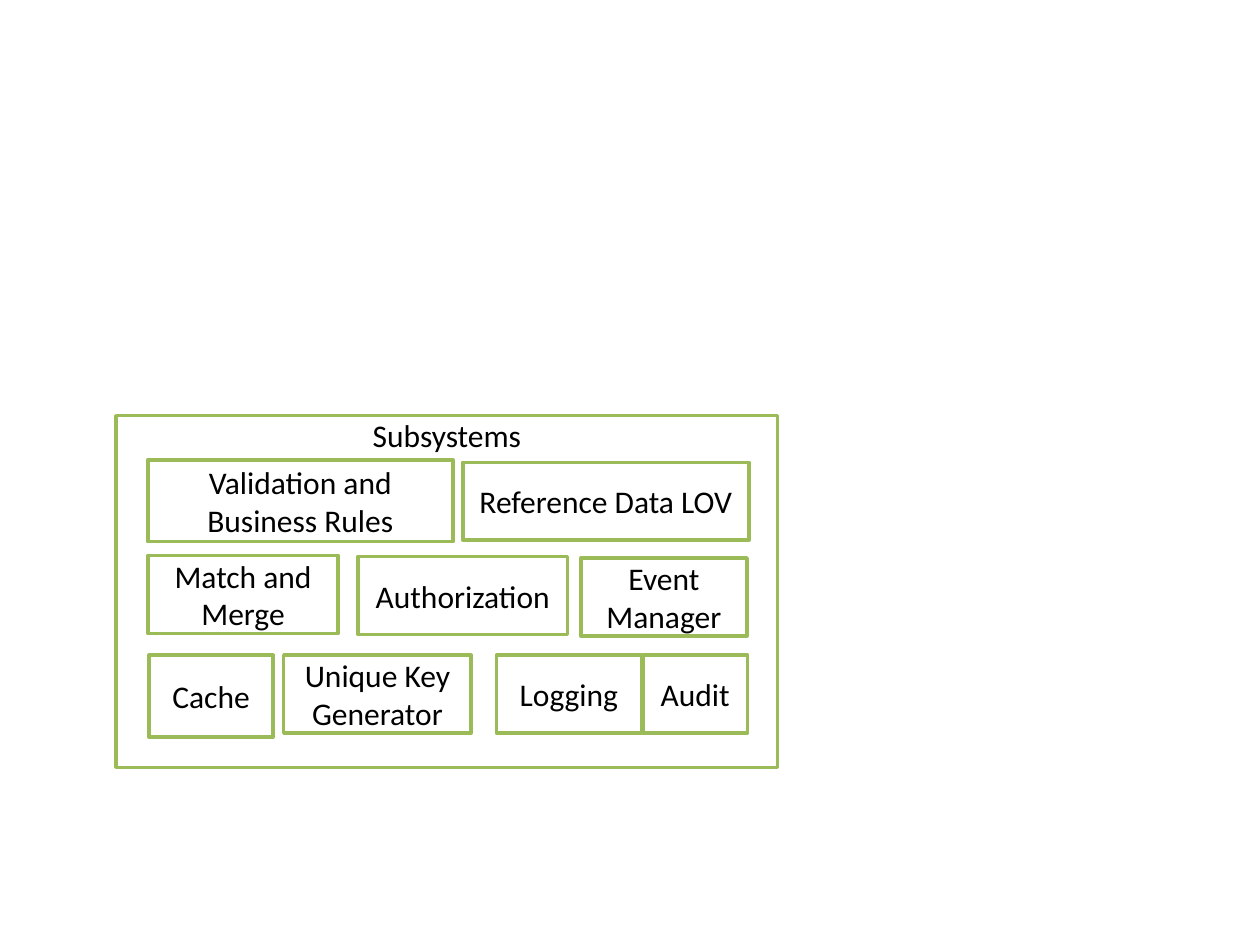
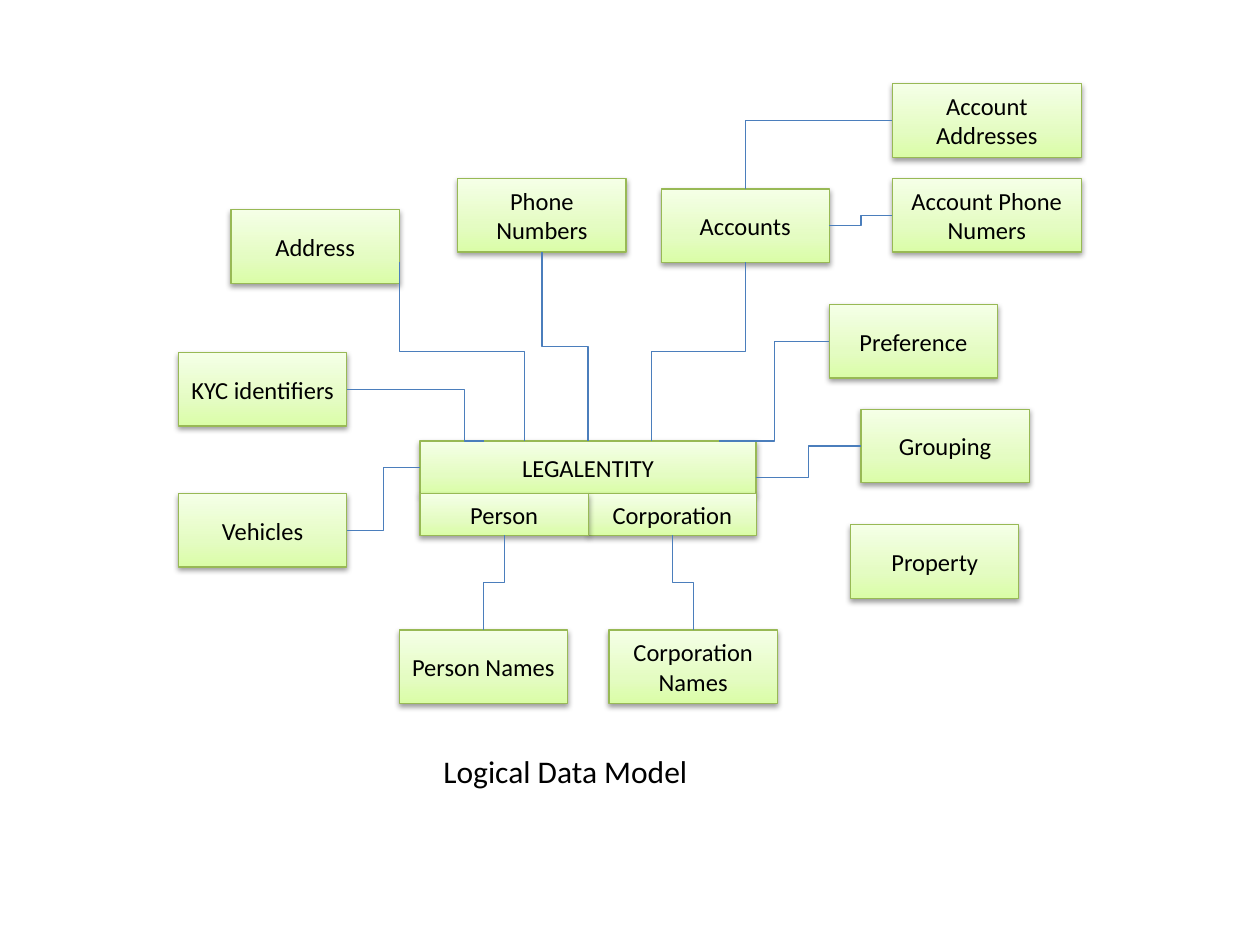
from lxml.etree import SubElement
from pptx import Presentation
from pptx.dml.color import RGBColor
from pptx.enum.shapes import MSO_CONNECTOR, MSO_SHAPE
from pptx.enum.text import MSO_ANCHOR, PP_ALIGN
from pptx.oxml import parse_xml
from pptx.oxml.ns import nsdecls, qn
from pptx.util import Cm, Pt

BLACK = RGBColor(0x00, 0x00, 0x00)
WHITE = RGBColor(0xFF, 0xFF, 0xFF)
GREEN = RGBColor(0x9B, 0xBB, 0x59)
NODE_GREEN = RGBColor(0x98, 0xB9, 0x55)
BLUE = RGBColor(0x4B, 0x7E, 0xBC)
GRADIENT = ((0, RGBColor(0xDA, 0xFD, 0xA7)),
            (35, RGBColor(0xE4, 0xFC, 0xC2)),
            (100, RGBColor(0xF5, 0xFF, 0xE7)))

LARGE = {"name": "Calibri", "size": Pt(18)}
SMALL = {"name": "Calibri", "size": Pt(14)}
CENTRED = {"word_wrap": True, "vertical_anchor": MSO_ANCHOR.MIDDLE}
PANEL_FRAME = {"word_wrap": True, "vertical_anchor": MSO_ANCHOR.TOP,
               "margin_top": 0, "margin_bottom": 0}

# Subsystem boxes: label, left, top, width, height within the panel
SUBSYSTEMS = (
    ("Validation and Business Rules", 0.64, 0.89, 6.15, 1.65),
    ("Reference Data LOV", 6.99, 0.94, 5.77, 1.57),
    ("Match and Merge", 0.64, 2.82, 3.84, 1.57),
    ("Authorization", 4.88, 2.84, 4.22, 1.57),
    ("Event Manager", 9.37, 2.87, 3.35, 1.57),
    ("Cache", 0.66, 4.83, 2.51, 1.65),
    ("Unique Key Generator", 3.38, 4.83, 3.78, 1.57),
    ("Logging", 7.67, 4.83, 2.92, 1.57),
    ("Audit", 10.62, 4.83, 2.11, 1.57),
)

# Entity boxes: left, top, width, height within the diagram
NODE = (3.39, 1.48)
WIDE_NODE = (3.81, 1.48)
SUBTYPE = (3.39, 0.84)
ENTITIES = {
    "LEGALENTITY": (4.87, 7.2, 6.77, 1.06),
    "Accounts": (9.73, 2.12, *NODE),
    "Preference": (13.12, 4.45, *NODE),
    "Corporation Names": (8.68, 11.01, *NODE),
    "Person Names": (4.45, 11.01, *NODE),
    "Corporation": (8.26, 8.26, *SUBTYPE),
    "Phone Numbers": (5.63, 1.91, *NODE),
    "KYC identifiers": (0, 5.42, *NODE),
    "Address": (1.06, 2.54, *NODE),
    "Person": (4.87, 8.26, *SUBTYPE),
    "Vehicles": (0, 8.26, *NODE),
    "Property": (13.55, 8.89, *NODE),
    "Grouping": (13.76, 6.56, *NODE),
    "Account Addresses": (14.39, 0, *WIDE_NODE),
    "Account Phone Numers": (14.39, 1.91, *WIDE_NODE),
}

# Points on a box, as fractions of its width and height
TOP, BOTTOM, LEFT, RIGHT = (0.5, 0), (0.5, 1), (0, 0.5), (1, 0.5)
RELATIONS = (
    ("LEGALENTITY", TOP, "Phone Numbers", BOTTOM, {"vertical": True}),
    ("LEGALENTITY", (0.69, 0), "Accounts", BOTTOM, {"vertical": True}),
    ("LEGALENTITY", (0.89, 0), "Preference", LEFT, {}),
    ("LEGALENTITY", (1, 0.7), "Grouping", LEFT, {}),
    ("LEGALENTITY", (0.31, 0), "Address", (1, 0.71), {"vertical": True}),
    ("LEGALENTITY", (0.19, 0), "KYC identifiers", RIGHT, {"bend": 0.143}),
    ("LEGALENTITY", LEFT, "Vehicles", RIGHT, {}),
    ("Person", BOTTOM, "Person Names", TOP, {"vertical": True}),
    ("Corporation", BOTTOM, "Corporation Names", TOP, {"vertical": True}),
    ("Accounts", TOP, "Account Addresses", LEFT,
     {"vertical": True, "preset": "bentConnector2"}),
    ("Accounts", RIGHT, "Account Phone Numers", LEFT, {}),
)


def apply_format(target, values):
    """Set each attribute of the target from a dict."""
    for name, value in values.items():
        setattr(target, name, value)


def write_text(shape, text, font, frame, alignment):
    """Put one formatted paragraph in a shape."""
    apply_format(shape.text_frame, frame)
    paragraph = shape.text_frame.paragraphs[0]
    paragraph.alignment = alignment
    run = paragraph.add_run()
    run.text = text
    apply_format(run.font, font)
    run.font.color.rgb = BLACK


def add_box(slide, text, box, font, line_colour, line_width, frame=CENTRED):
    """Add a white outlined rectangle with centred text."""
    shape = slide.shapes.add_shape(MSO_SHAPE.RECTANGLE, *map(Cm, box))
    shape.fill.solid()
    shape.fill.fore_color.rgb = WHITE
    shape.line.color.rgb = line_colour
    shape.line.width = Pt(line_width)
    shape.shadow.inherit = False
    write_text(shape, text, font, frame, PP_ALIGN.CENTER)
    return shape


def add_entity(slide, text, box):
    """Add a box with a green gradient and a soft shadow below."""
    shape = add_box(slide, text, box, SMALL, NODE_GREEN, 0.75)
    properties = shape._element.spPr
    stops = "".join(f'<a:gs pos="{position * 1000}"><a:srgbClr val="{colour}"/></a:gs>'
                    for position, colour in GRADIENT)
    gradient = parse_xml(
        f'<a:gradFill {nsdecls("a")} rotWithShape="1"><a:gsLst>{stops}</a:gsLst>'
        '<a:lin ang="16200000" scaled="0"/></a:gradFill>')
    properties.replace(properties.find(qn("a:solidFill")), gradient)
    properties.find(qn("a:effectLst")).append(parse_xml(
        f'<a:outerShdw {nsdecls("a")} blurRad="40000" dist="20000" dir="5400000" '
        'rotWithShape="0"><a:srgbClr val="000000"><a:alpha val="38000"/>'
        '</a:srgbClr></a:outerShdw>'))


def add_elbow(slide, start, end, vertical=False, bend=None, preset=None):
    """Add a bent line, leaving its start sideways or vertically."""
    (x1, y1), (x2, y2) = start, end
    connector = slide.shapes.add_connector(
        MSO_CONNECTOR.ELBOW, *map(Cm, (x1, y1, x2, y2)))
    connector.line.color.rgb = BLUE
    connector.line.width = Pt(0.75)
    properties = connector._element.spPr
    SubElement(properties, qn("a:effectLst"))
    geometry = properties.find(qn("a:prstGeom"))
    if vertical:
        # A quarter turn swaps the sides around the same centre
        width, height = abs(y2 - y1), abs(x2 - x1)
        apply_format(connector, {
            "left": Cm((x1 + x2 - width) / 2), "top": Cm((y1 + y2 - height) / 2),
            "width": Cm(width), "height": Cm(height)})
        transform = properties.find(qn("a:xfrm"))
        turn = 90 if (x2 - x1) * (y2 - y1) < 0 else 270
        transform.set("rot", str(turn * 60000))
        transform.set("flipH", str(int(x2 > x1)))
        transform.set("flipV", str(int(y2 < y1)))
    if preset:
        geometry.set("prst", preset)
    if bend is not None:
        SubElement(geometry.find(qn("a:avLst")), qn("a:gd"),
                   name="adj1", fmla=f"val {round(bend * 100000)}")


def shifted(box, left, top):
    """Move a box from its region to the slide."""
    return (left + box[0], top + box[1], *box[2:])


def point_on(box, fractions):
    """Find a point of a box from fractions of its sides."""
    return tuple(box[i] + box[i + 2] * fractions[i] for i in range(2))


def build_subsystems(slide, panel):
    """Draw the panel of subsystems."""
    add_box(slide, "Subsystems", panel, LARGE, GREEN, 2, PANEL_FRAME)
    for label, *box in SUBSYSTEMS:
        add_box(slide, label, shifted(box, *panel[:2]), LARGE, GREEN, 2)


def build_data_model(slide, left, top):
    """Draw the entities, their relations and the caption."""
    boxes = {name: shifted(box, left, top) for name, box in ENTITIES.items()}
    for name, box in boxes.items():
        add_entity(slide, name, box)
    for source, leaving, target, arriving, route in RELATIONS:
        add_elbow(slide, point_on(boxes[source], leaving),
                  point_on(boxes[target], arriving), **route)
    caption = slide.shapes.add_textbox(
        *map(Cm, shifted((5.09, 13.35, 5.49, 1.02), left, top)))
    write_text(caption, "Logical Data Model", LARGE, {"word_wrap": False},
               PP_ALIGN.LEFT)


presentation = Presentation()
apply_format(presentation, {"slide_width": Cm(25.4), "slide_height": Cm(19.05)})
blank = presentation.slide_layouts[6]
build_subsystems(presentation.slides.add_slide(blank), (2.34, 8.38, 13.34, 7.09))
build_data_model(presentation.slides.add_slide(blank), 3.6, 1.69)
presentation.save("out.pptx")
